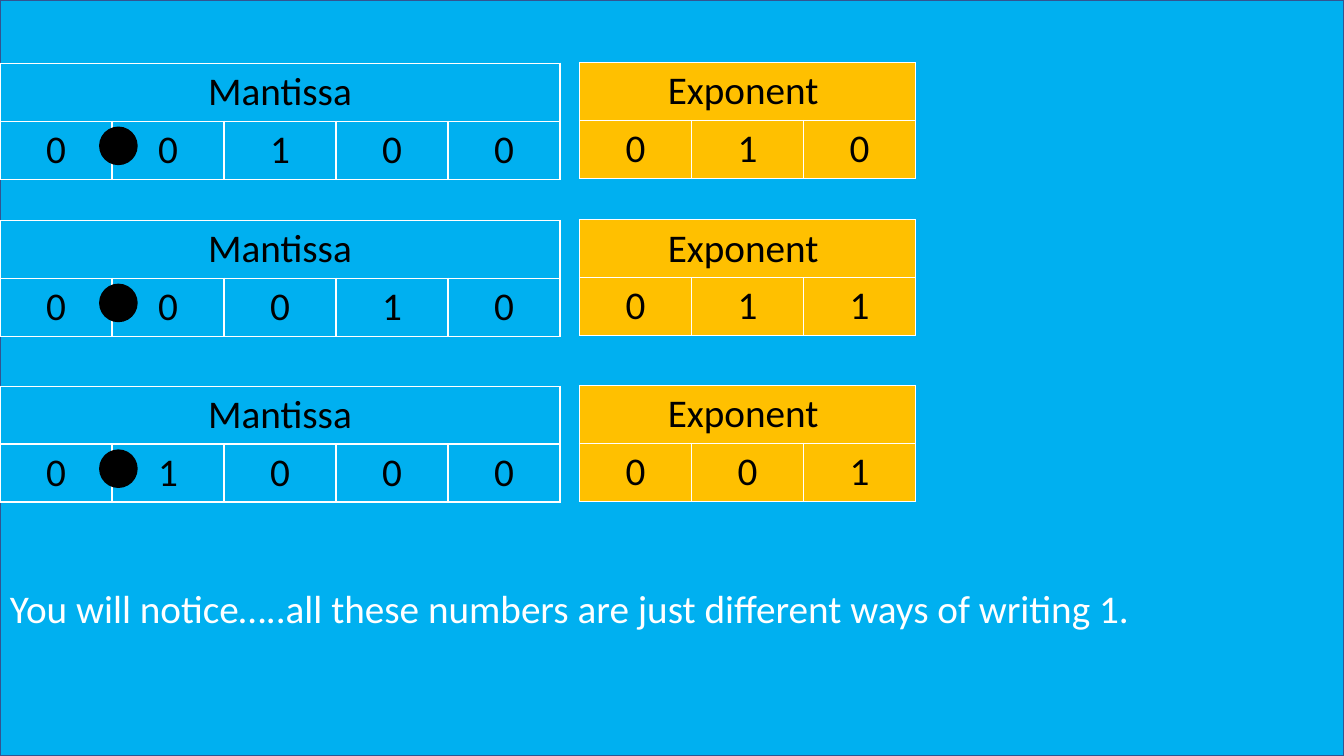
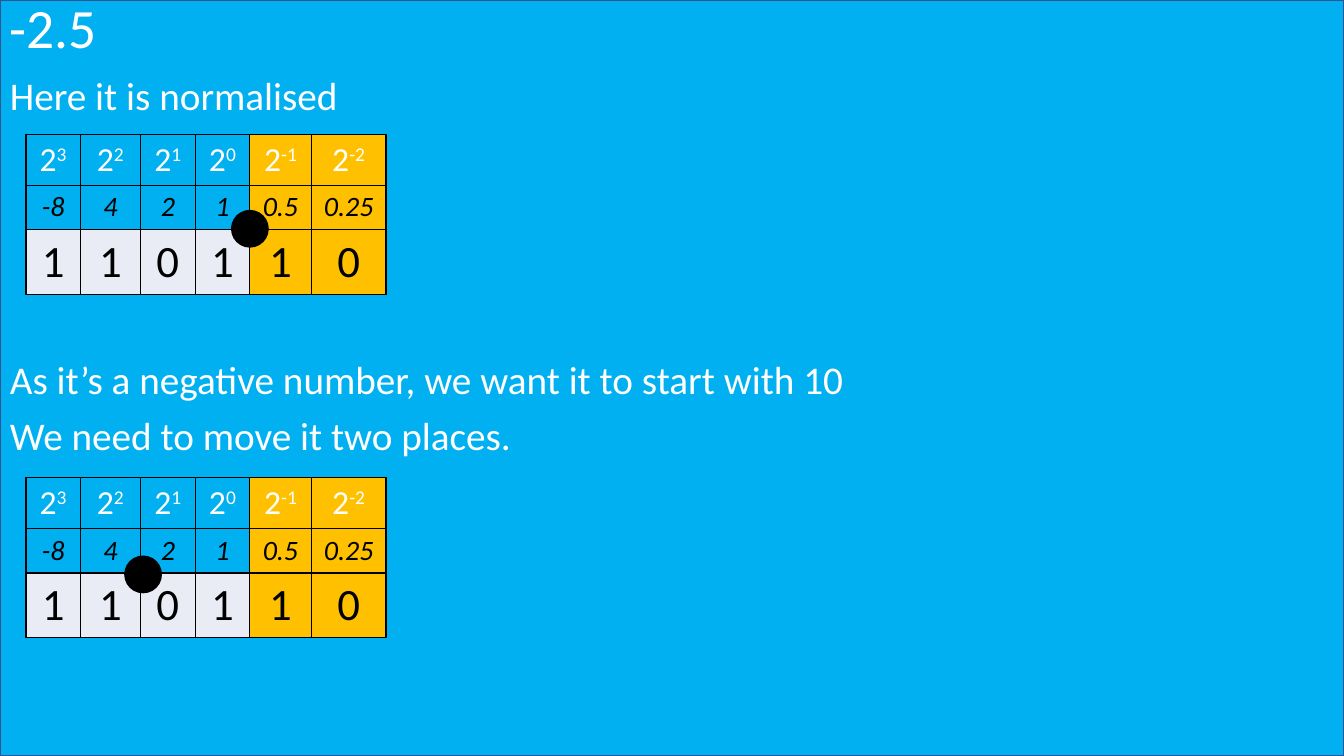
from lxml import etree
from pptx import Presentation
from pptx.dml.color import RGBColor
from pptx.enum.shapes import MSO_SHAPE
from pptx.enum.text import MSO_ANCHOR, PP_ALIGN
from pptx.oxml.ns import qn
from pptx.util import Pt

RECTANGLE = MSO_SHAPE.RECTANGLE
ELLIPSE = MSO_SHAPE.OVAL
LEFT = PP_ALIGN.LEFT
CENTER = PP_ALIGN.CENTER
TOP = MSO_ANCHOR.TOP
MIDDLE = MSO_ANCHOR.MIDDLE

FONT = "Calibri"
BLUE = "00B0F0"
NAVY = "325491"
AMBER = "FFC000"
PALE = "E9EBF5"
WHITE = "FFFFFF"
BLACK = "000000"

PAGE_WIDTH, PAGE_HEIGHT = 960, 540
BODY_TOP = 51
BIT_WIDTH, BIT_HEIGHT = 80, 41.4
EXPONENT_LEFT = 414
PLACE_LEFT = 18.6
PLACE_WIDTHS = [38.8, 43, 39.1, 38.9, 44.1, 53.3]
PLACE_HEIGHTS = [36.5, 31.6, 46.3]
WHOLE_PLACES = 4


def color(value):
    return RGBColor.from_string(value)


def add_shape(page, kind, left, top, width, height, fill, line):
    shape = page.shapes.add_shape(kind, Pt(left), Pt(top), Pt(width), Pt(height))
    shape.shadow.inherit = False
    shape.fill.solid()
    shape.fill.fore_color.rgb = color(fill)
    shape.line.color.rgb = color(line)
    shape.line.width = Pt(1)


def add_point(page, left, top, size):
    add_shape(page, ELLIPSE, left, top, size, size, BLACK, BLACK)


def add_span(para, text, size, fill, italic=False, raised=False):
    span = para.add_run()
    span.text = text
    span.font.name = FONT
    span.font.size = Pt(size)
    span.font.italic = italic
    span.font.color.rgb = color(fill)
    if raised:
        span.font._element.set("baseline", "30000")


def add_text(page, top, height, lines, size=28, anchor=TOP):
    box = page.shapes.add_textbox(0, Pt(top), Pt(PAGE_WIDTH), Pt(height))
    frame = box.text_frame
    frame.word_wrap = True
    frame.vertical_anchor = anchor
    for index, line in enumerate(lines):
        para = frame.add_paragraph() if index else frame.paragraphs[0]
        para.alignment = LEFT
        para.line_spacing = 0.9
        para.space_before = Pt(10 if index else 0)
        add_span(para, line, size, WHITE)


def set_borders(cell, line):
    properties = cell._tc.get_or_add_tcPr()
    for index, side in enumerate(("lnL", "lnR", "lnT", "lnB")):
        border = etree.Element(qn(f"a:{side}"), w=str(Pt(1)))
        solid = etree.SubElement(border, qn("a:solidFill"))
        etree.SubElement(solid, qn("a:srgbClr"), val=line)
        properties.insert(index, border)


def add_table(page, left, top, widths, heights, line):
    frame = page.shapes.add_table(
        len(heights), len(widths), Pt(left), Pt(top), Pt(sum(widths)), Pt(sum(heights))
    )
    table = frame.table
    table.first_row = False
    table.horz_banding = False
    for column, width in zip(table.columns, widths):
        column.width = Pt(width)
    for row, height in zip(table.rows, heights):
        row.height = Pt(height)
    for cell in table.iter_cells():
        set_borders(cell, line)
    return table


def fill_cell(cell, text, fill, size, font_color=BLACK, italic=False, power=None):
    cell.fill.solid()
    cell.fill.fore_color.rgb = color(fill)
    para = cell.text_frame.paragraphs[0]
    para.alignment = CENTER
    add_span(para, text, size, font_color, italic)
    if power:
        add_span(para, power, size, font_color, raised=True)


def add_bit_table(page, left, top, heading, bits, fill):
    table = add_table(page, left, top, [BIT_WIDTH] * len(bits), [BIT_HEIGHT] * 2, WHITE)
    table.cell(0, 0).merge(table.cell(0, len(bits) - 1))
    fill_cell(table.cell(0, 0), heading, fill, 28)
    for column, bit in enumerate(bits):
        fill_cell(table.cell(1, column), bit, fill, 28)


def add_floating_number(page, top, mantissa, exponent):
    add_bit_table(page, 0, top + 0.5, "Mantissa", mantissa, BLUE)
    add_bit_table(page, EXPONENT_LEFT, top, "Exponent ", exponent, AMBER)
    add_point(page, 71.3, top + 46.2, 26.6)


def add_place_table(page, top):
    table = add_table(page, PLACE_LEFT, top, PLACE_WIDTHS, PLACE_HEIGHTS, BLACK)
    values = ["-8", "4", "2", "1", "0.5", "0.25"]
    for column, (value, bit) in enumerate(zip(values, "110110")):
        whole = column < WHOLE_PLACES
        fill = BLUE if whole else AMBER
        power = str(WHOLE_PLACES - 1 - column)
        fill_cell(table.cell(0, column), "2", fill, 24, WHITE, power=power)
        fill_cell(table.cell(1, column), value, fill, 20, italic=True)
        fill_cell(table.cell(2, column), bit, PALE if whole else AMBER, 32)


def add_page(deck):
    page = deck.slides.add_slide(deck.slide_layouts[6])
    add_shape(page, RECTANGLE, 0, 0, PAGE_WIDTH, PAGE_HEIGHT, BLUE, NAVY)
    return page


def build_equal_numbers(deck):
    page = add_page(deck)
    add_text(page, 417.5, 38, [
        "You will notice…..all these numbers are just different ways of writing 1."
    ])
    add_floating_number(page, 44.7, "00100", "010")
    add_floating_number(page, 156.9, "00010", "011")
    add_floating_number(page, 275.3, "01000", "001")


def build_normalising(deck):
    page = add_page(deck)
    add_text(page, 0, 44, ["-2.5"], size=39.6, anchor=MIDDLE)
    add_text(page, BODY_TOP, 38, ["Here it is normalised"])
    add_text(page, 254, 79, [
        "As it’s a negative number, we want it to start with 10",
        "We need to move it two places.",
    ])
    add_place_table(page, 95.8)
    add_point(page, 165.5, 150.4, 26)
    add_place_table(page, 341.2)
    add_point(page, 89.2, 397.3, 26)


def main():
    deck = Presentation()
    deck.slide_width = Pt(PAGE_WIDTH)
    deck.slide_height = Pt(PAGE_HEIGHT)
    build_equal_numbers(deck)
    build_normalising(deck)
    deck.save("out.pptx")


if __name__ == "__main__":
    main()
